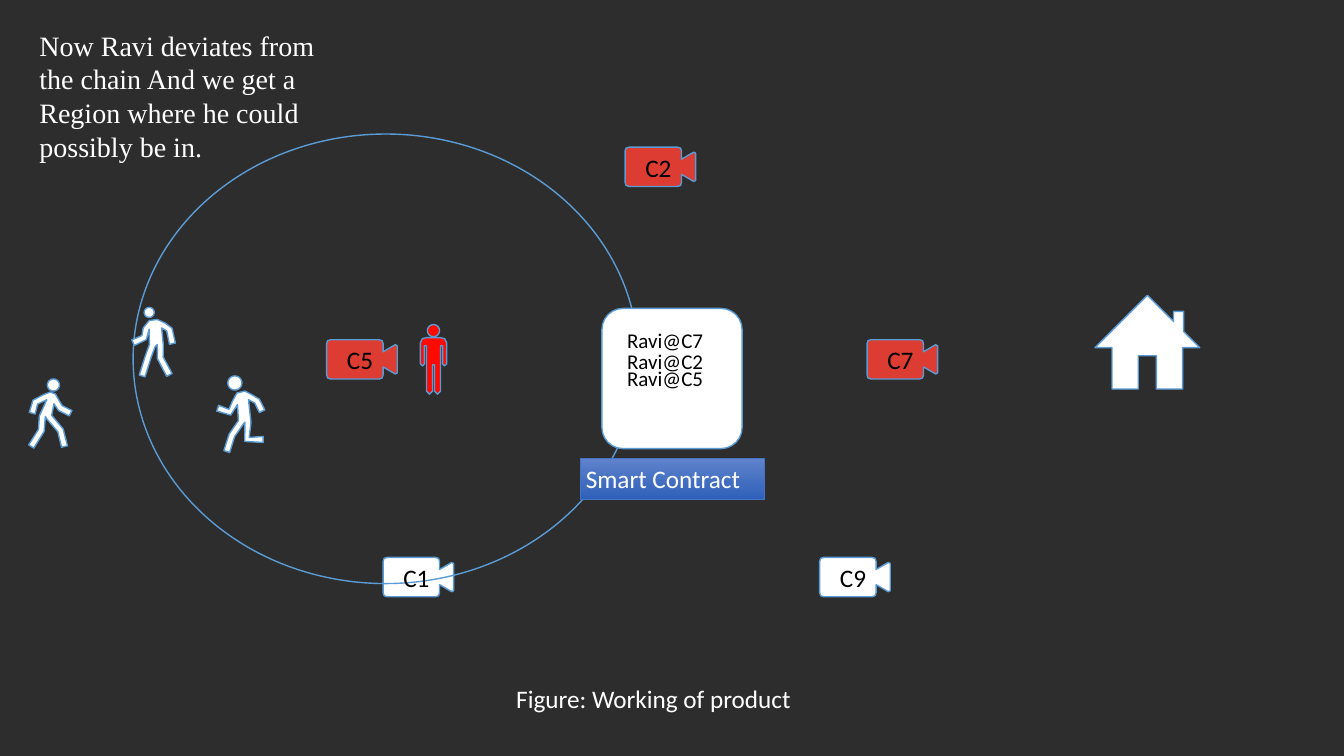
"""Builds the slide on tracking a walker by cameras and a smart contract."""
from math import cos, hypot, pi, sin
from pptx import Presentation
from pptx.dml.color import RGBColor
from pptx.enum.shapes import MSO_SHAPE as Kind
from pptx.enum.text import MSO_ANCHOR as Anchor, MSO_AUTO_SIZE as Fit, PP_ALIGN as Align
from pptx.util import Pt

PX = 9144
WHITE, BLACK, RED, BLUE = "FFFFFF", "000000", "DD3C32", "5B9BD5"
tint = RGBColor.from_string


def paint(shape, fill=None, line=BLUE, width=1):
    """Set a plain fill, or none, and an outline without shadow."""
    shape.shadow.inherit = False
    if fill:
        shape.fill.solid()
        shape.fill.fore_color.rgb = tint(fill)
    else:
        shape.fill.background()
    shape.line.color.rgb = tint(line)
    shape.line.width = Pt(width)


def draw(left, top, fill, body, head=0):
    """Draw an outline around the point left, top, with a round head of that radius there."""
    loops = [body]
    if head:
        turns = [pi * i / 12 for i in range(24)]
        loops.insert(0, [(head * cos(turn), head * sin(turn)) for turn in turns])
    pen = None
    for loop in loops:
        first, *rest = [((left + x) * PX, (top + y) * PX) for x, y in loop]
        if pen:
            pen.move_to(*first)
        else:
            pen = shapes.build_freeform(*first)
        pen.add_line_segments(rest, close=True)
    paint(pen.convert_to_shape(), fill)


deck = Presentation()
deck.slide_width, deck.slide_height = 1333 * PX, 750 * PX
slide = deck.slides.add_slide(deck.slide_layouts[5])
slide.background.fill.solid()
slide.background.fill.fore_color.rgb = tint("2D2D2D")
shapes = slide.shapes

cams = [("C1", 380, 553, WHITE), ("C5", 324, 337, RED), ("C9", 813, 553, WHITE),
        ("C7", 860, 337, RED), ("C2", 620, 146, RED)]
case, tip, tall = 56, 70, 39
upper = [(0, 4), (1, 1), (4, 0), (case - 4, 0), (case - 1, 1), (case, 4),
         (case, 12), (tip - 2, 5), (tip, 6)]
lower = [(x, tall - y) for x, y in reversed(upper)]
for name, left, top, fill in cams:
    draw(left, top, fill, upper + lower)

door, wall, eave = 9, 35, 52
lintel, base = 60, 93
side = [(door, lintel), (door, base), (wall, base), (wall, eave), (eave, eave)]
flue_in, flue_out, flue_top = 26, 36, 16
flue = [(flue_out, flue_out), (flue_out, flue_top), (flue_in, flue_top), (flue_in, flue_in)]
mirror = [(-x, y) for x, y in reversed(side)]
draw(1138, 293, WHITE, side + flue + [(0, 0)] + mirror)

hand, arm, hip, gap = 13, 9, 7, 1
neck, pit, wrist, sole = 7, 15, 35, 63
half = [(hip, neck), (hand - 2, neck + 1), (hand, neck + 5), (hand, wrist - 2),
        (hand - 2, wrist), (arm, wrist - 2), (arm, pit), (hip, pit),
        (hip, sole - 3), (hip - 3, sole), (gap, sole - 3), (gap, wrist - 1)]
draw(430, 328, "FF0900", half + [(-x, y) for x, y in reversed(half)], 6)

ring = shapes.add_shape(Kind.OVAL, 132 * PX, 133 * PX, 501 * PX, 446 * PX)
paint(ring)
card = shapes.add_shape(Kind.ROUNDED_RECTANGLE, 597 * PX, 306 * PX, 139 * PX, 139 * PX)
card.adjustments[0] = 0.15
paint(card, WHITE)

stroll = {"left arm": [(-8, 12), (-18, 17), (-21, 28)],
          "left leg": [(-11, 31), (-12, 45), (-22, 61)],
          "right leg": [(-4, 32), (7, 45), (11, 61)],
          "right arm": [(3, 17), (7, 23), (17, 28)],
          "neck": [(2, 9), (-3, 7)]}
dash = {"left arm": [(0, 20), (-5, 29), (-17, 25)],
        "left leg": [(6, 39), (-3, 52), (-8, 68)],
        "right leg": [(13, 39), (12, 56), (28, 56)],
        "right arm": [(15, 14), (22, 18), (27, 28)],
        "neck": [(10, 8), (2, 10)]}
stride = {"left arm": [(-3, 16), (-5, 25), (-16, 30)],
          "left leg": [(3, 33), (-1, 44), (-7, 63)],
          "right leg": [(11, 32), (11, 45), (20, 62)],
          "right arm": [(14, 13), (20, 17), (23, 31)],
          "neck": [(8, 7), (0, 8)]}
thick = 3
for left, top, head, pose in [(53, 382, 6, stroll), (233, 380, 7, dash), (148, 310, 5, stride)]:
    body = []
    for part, joints in pose.items():
        if part == "neck":
            body += joints
            continue
        out, back = [], []
        for (x, y), start, end in zip(joints, joints[:1] + joints, joints[1:] + joints[-1:]):
            run, rise = end[0] - start[0], end[1] - start[1]
            grow = thick / hypot(run, rise)
            out.append((x - rise * grow, y + run * grow))
            back.insert(0, (x + rise * grow, y - run * grow))
        body += out + back
    draw(left, top, WHITE, body, head)

tag = shapes.add_shape(Kind.RECTANGLE, 576 * PX, 455 * PX, 182 * PX, 40 * PX)
paint(tag, BLUE, "4472C4", 0.5)
tag.fill.gradient()
tag.fill.gradient_angle = 270
for stop, tone in zip(tag.fill.gradient_stops, ["5F82CB", "2F61BA"]):
    stop.color.rgb = tint(tone)

title = shapes.title
place = {"left": 34, "top": 23, "width": 319, "height": 137}
for key, value in place.items():
    setattr(title, key, value * PX)

story = "Now Ravi deviates from the chain And we get a Region where he could possibly be in."
notes = [(title, story, 20, WHITE), (tag, "Smart Contract", 18, WHITE)]
labels = [("Figure: Working of product", 507, 673, 319, 39, 18, WHITE)]
labels += [(f"Ravi@{cam}", 617, top, 90, 34, 15, BLACK)
           for cam, top in [("C7", 320), ("C2", 341), ("C5", 358)]]
labels += [(name, left + 15, top, 39, 39, 18, BLACK) for name, left, top, fill in cams]
for text, left, top, width, height, size, ink in labels:
    box = shapes.add_textbox(left * PX, top * PX, width * PX, height * PX)
    notes.append((box, text, size, ink))

look = {"margin_left": 5 * PX, "margin_right": 5 * PX, "margin_top": 5 * PX,
        "margin_bottom": 5 * PX, "vertical_anchor": Anchor.TOP,
        "auto_size": Fit.SHAPE_TO_FIT_TEXT, "word_wrap": False}
for shape, text, size, ink in notes:
    frame = shape.text_frame
    for key, value in look.items():
        setattr(frame, key, value)
    frame.text = text
    line = frame.paragraphs[0]
    line.alignment = Align.LEFT
    font = line.runs[0].font
    for key, value in {"name": "Calibri", "size": Pt(size)}.items():
        setattr(font, key, value)
    font.color.rgb = tint(ink)

title.text_frame.word_wrap = True
opener = title.text_frame.paragraphs[0]
opener.line_spacing = Pt(24)
opener.runs[0].font.name = "Times New Roman"

deck.save("out.pptx")
